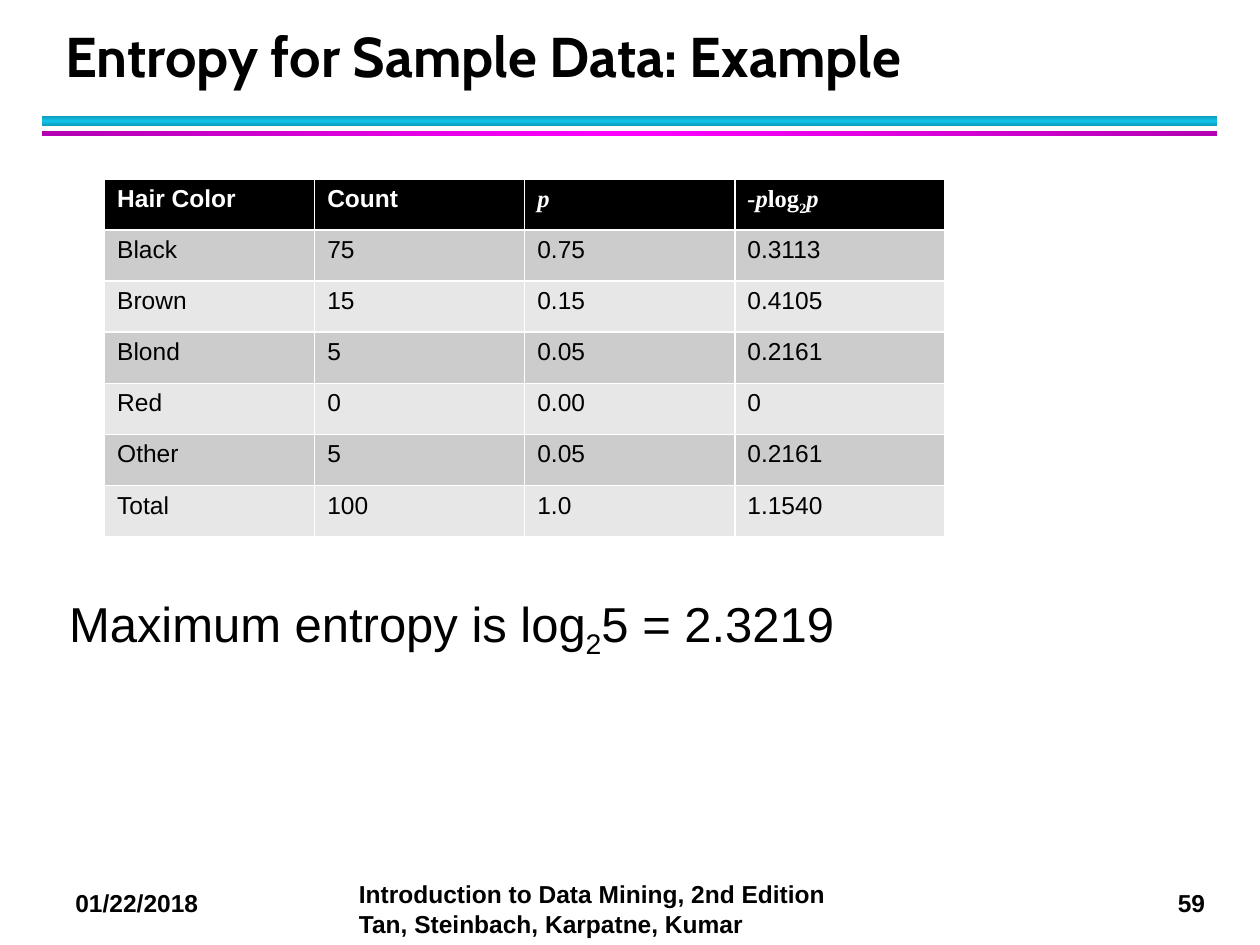
"""Build the slide on entropy for a hair colour sample."""
import copy

import pptx
import pptx.dml.color
import pptx.enum.shapes
import pptx.enum.text
import pptx.util

Inches, Pt = pptx.util.Inches, pptx.util.Pt

BLACK, WHITE = "000000", "FFFFFF"
TITLE = "Entropy for Sample Data: Example"
MAXIMUM = [("Maximum entropy is log", ""), ("2", "sub"), ("5 = 2.3219", "")]
HEADERS = [
    [("Hair Color", "")],
    [("Count", "")],
    [("p", "math italic")],
    [("-p", "math italic"), ("log", "math"), ("2", "math sub"), ("p", "math italic")],
]
ROWS = [
    ("Black", "75", "0.75", "0.3113"),
    ("Brown", "15", "0.15", "0.4105"),
    ("Blond", "5", "0.05", "0.2161"),
    ("Red", "0", "0.00", "0"),
    ("Other", "5", "0.05", "0.2161"),
    ("Total", "100", "1.0", "1.1540"),
]
BANDS = ("CCCCCC", "E7E7E7")
FOOTERS = [
    ((0.5, 7, 1.33, 0.34), "01/22/2018"),
    ((9.25, 7, 0.44, 0.34), "59"),
    ((2.75, 6.93, 4.08, 0.57),
     "Introduction to Data Mining, 2nd Edition\vTan, Steinbach, Karpatne, Kumar"),
]
RULES = [
    ((0.33, 0.92, 9.33, 0.08), ("0E9BBA", "12C2E9", "0E9BBA"), 90),
    ((0.33, 1.04, 9.33, 0.04), ("B200B2", "FF00FF", "B200B2"), 0),
]
TABLE = (0.83, 1.42, 6.67, 2.84)


def color(value):
    return pptx.dml.color.RGBColor.from_string(value)


def write(para, spans, size, bold=False, ink=BLACK, face="Arial"):
    for text, style in spans:
        span = para.add_run()
        span.text = text
        font = span.font
        font.size, font.bold = Pt(size), bold
        font.italic = "italic" in style
        font.name = "Times New Roman" if "math" in style else face
        font.color.rgb = color(ink)
        if "sub" in style:
            font._element.set("baseline", "-25000")


def add_text(page, place, spans, size, bold=False, face="Arial"):
    box = page.shapes.add_textbox(*map(Inches, place))
    box.text_frame.word_wrap = True
    para = box.text_frame.paragraphs[0]
    write(para, spans, size, bold, face=face)
    return box, para


def add_rule(page, place, stops, angle):
    rule = page.shapes.add_shape(
        pptx.enum.shapes.MSO_SHAPE.RECTANGLE, *map(Inches, place))
    rule.shadow.inherit = False
    rule.line.fill.background()
    rule.fill.gradient()
    rule.fill.gradient_angle = angle
    first = rule._element.xpath(".//a:gs")[0]
    first.addnext(copy.deepcopy(first))
    for index, (stop, value) in enumerate(zip(rule.fill.gradient_stops, stops)):
        stop.position = index / (len(stops) - 1)
        stop.color.rgb = color(value)


def add_table(page):
    grid = [HEADERS] + [[[(text, "")] for text in row] for row in ROWS]
    table = page.shapes.add_table(
        len(grid), len(HEADERS), *map(Inches, TABLE)).table
    for r, row in enumerate(grid):
        header = r == 0
        for c, spans in enumerate(row):
            cell = table.cell(r, c)
            cell.fill.solid()
            cell.fill.fore_color.rgb = color(BLACK if header else BANDS[(r - 1) % 2])
            write(cell.text_frame.paragraphs[0], spans, 14, header,
                  WHITE if header else BLACK)


def main():
    deck = pptx.Presentation()
    deck.slide_width, deck.slide_height = Inches(10), Inches(7.5)
    page = deck.slides.add_slide(deck.slide_layouts[6])
    for rule in RULES:
        add_rule(page, *rule)
    for place, text in FOOTERS:
        box, para = add_text(page, place, [], 14)
        para.text = text
        for span in para.runs:
            span.font.size, span.font.bold, span.font.name = Pt(14), True, "Arial"
            span.font.color.rgb = color(BLACK)
    box, para = add_text(page, (0.42, 0.17, 9.06, 0.58), [(TITLE, "")], 32, True, "Cabin")
    box.text_frame.vertical_anchor = pptx.enum.text.MSO_ANCHOR.BOTTOM
    para.line_spacing = Pt(36)
    add_text(page, (0.45, 4.66, 9.1, 0.6), MAXIMUM, 28)
    add_table(page)
    deck.save("out.pptx")


if __name__ == "__main__":
    main()
